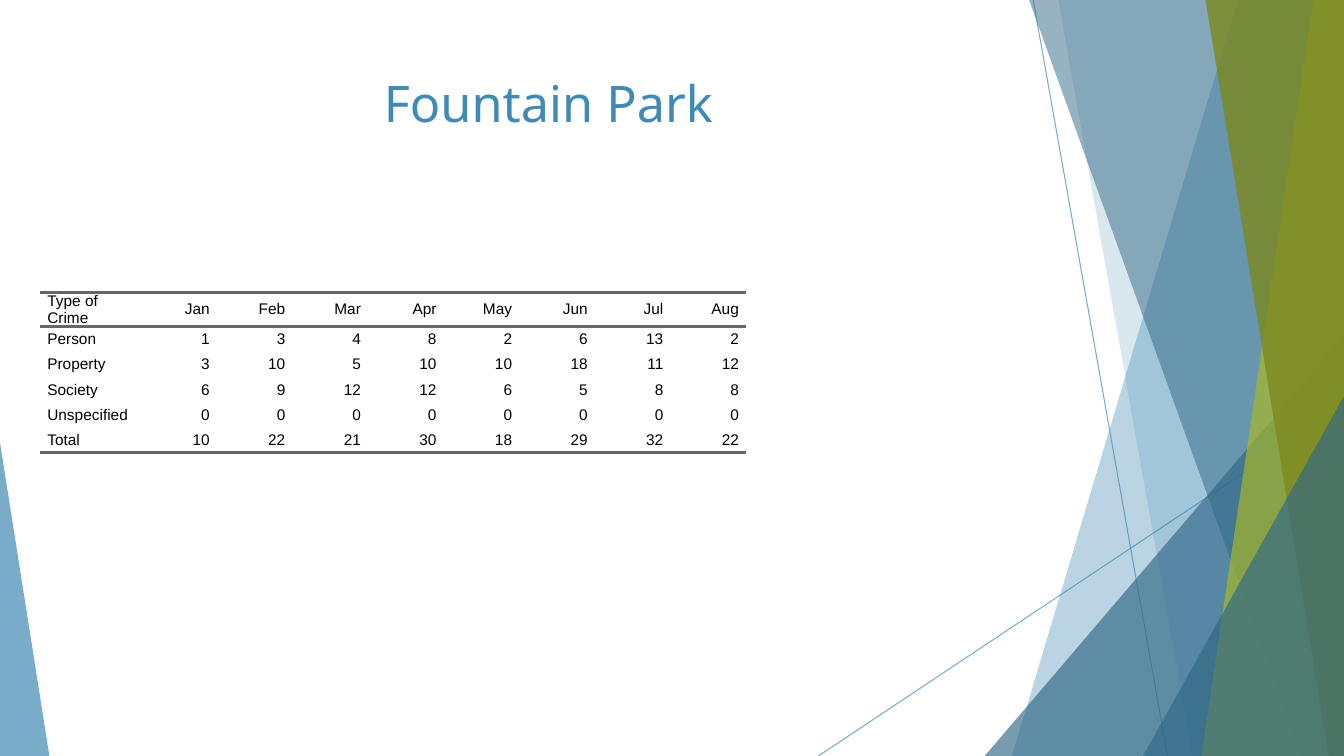
from dataclasses import dataclass

from lxml import etree
from pptx import Presentation
from pptx.dml.color import RGBColor
from pptx.enum.shapes import MSO_CONNECTOR, MSO_SHAPE
from pptx.enum.text import MSO_ANCHOR, PP_ALIGN
from pptx.oxml.ns import qn
from pptx.util import Pt

STRAIGHT = MSO_CONNECTOR.STRAIGHT
TRIANGLE = MSO_SHAPE.ISOSCELES_TRIANGLE
LEFT, CENTER, RIGHT = PP_ALIGN.LEFT, PP_ALIGN.CENTER, PP_ALIGN.RIGHT
TOP, MIDDLE = MSO_ANCHOR.TOP, MSO_ANCHOR.MIDDLE


@dataclass
class Theme:
    blue: str = "418AB3"
    deep_blue: str = "316886"
    lime: str = "A6B727"
    olive: str = "7D891D"
    rule: str = "666666"
    ink: str = "000000"
    title_font: str = "Noto Sans"
    table_font: str = "Arial"
    title_size: int = 36
    table_size: int = 11


theme = Theme()
WIDTH, HEIGHT = 960, 540


def set_alpha(fill_parent, percent):
    """Make the solid colour inside an element translucent."""
    color = next(fill_parent.iter(qn("a:srgbClr")))
    etree.SubElement(color, qn("a:alpha"), val=str(percent * 1000))


def add_run(paragraph, text, font, size, color):
    run = paragraph.add_run()
    run.text = text
    run.font.name = font
    run.font.size = Pt(size)
    run.font.color.rgb = RGBColor.from_string(color)


prs = Presentation()
prs.slide_width, prs.slide_height = Pt(WIDTH), Pt(HEIGHT)
slide = prs.slides.add_slide(prs.slide_layouts[6])
shapes = slide.shapes

# Thin crossing lines
for x1, y1, x2, y2 in [(738, 0, 834, HEIGHT), (WIDTH, 290.2, 584.6, HEIGHT)]:
    ray = shapes.add_connector(STRAIGHT, Pt(x1), Pt(y1), Pt(x2), Pt(y2))
    ray.line.width = Pt(0.75)
    ray.line.color.rgb = RGBColor.from_string(theme.blue)
    set_alpha(ray.line._ln, 70)
    etree.SubElement(ray._element.spPr, qn("a:effectLst"))

# Translucent facets, back to front. Bands reach the right edge: (top x, bottom x).
# Corner triangles stand on the bottom edge: (left, top, width, apex position).
facets = [
    ((884.2, 722.9), theme.blue, 36),
    ((756, 851.8), theme.blue, 20),
    ((703.4, 239.8, 256.6, 1), theme.deep_blue, 66),
    ((735.1, 929.5), theme.deep_blue, 50),
    ((938.2, 858.2), theme.lime, 70),
    ((861.1, 949), theme.olive, 80),
    ((816.5, 283, 143.5, 1), theme.deep_blue, 66),
    ((0, 316.1, 35.3, 0), theme.blue, 70),
]
for geometry, color, opacity in facets:
    if len(geometry) == 2:
        top_x, bottom_x = geometry
        outline = shapes.build_freeform(Pt(top_x), 0)
        outline.add_line_segments([(Pt(WIDTH), 0), (Pt(WIDTH), Pt(HEIGHT)),
                                   (Pt(bottom_x), Pt(HEIGHT))], close=True)
        facet = outline.convert_to_shape()
    else:
        left, top, width, apex = geometry
        facet = shapes.add_shape(TRIANGLE, Pt(left), Pt(top), Pt(width), Pt(HEIGHT - top))
        facet.adjustments[0] = apex
    facet.shadow.inherit = False
    facet.fill.solid()
    facet.fill.fore_color.rgb = RGBColor.from_string(color)
    set_alpha(facet._element.spPr, opacity)
    facet.line.fill.background()

# Crime counts, with the total row summed from the types
months = ["Jan", "Feb", "Mar", "Apr", "May", "Jun", "Jul", "Aug"]
crimes = {
    "Person": [1, 3, 4, 8, 2, 6, 13, 2],
    "Property": [3, 10, 5, 10, 10, 18, 11, 12],
    "Society": [6, 9, 12, 12, 6, 5, 8, 8],
    "Unspecified": [0] * len(months),
}
totals = [sum(counts) for counts in zip(*crimes.values())]
rows = [["Type of Crime", *months],
        *([crime, *counts] for crime, counts in crimes.items()),
        ["Total", *totals]]

# Crime table
TYPE_WIDTH, MONTH_WIDTH, ROW_HEIGHT = 72, 54, 18
crime_frame = shapes.add_table(len(rows), len(rows[0]), Pt(28.8), Pt(208.8),
                               Pt(TYPE_WIDTH + MONTH_WIDTH * len(months)),
                               Pt(ROW_HEIGHT * len(rows)))
crime_table = crime_frame.table
crime_table.first_row = crime_table.horz_banding = False
style_id = next(crime_frame._element.iter(qn("a:tableStyleId")))
style_id.text = "{2D5ABB26-0587-4C30-8999-92F81FD0307C}"  # no style, no grid
for c, column in enumerate(crime_table.columns):
    column.width = Pt(MONTH_WIDTH if c else TYPE_WIDTH)

ruled_edges = {0: ["a:lnT", "a:lnB"], len(rows) - 1: ["a:lnB"]}
for r, values in enumerate(rows):
    crime_table.rows[r].height = Pt(ROW_HEIGHT)
    for c, value in enumerate(values):
        cell = crime_table.cell(r, c)
        cell.margin_left = cell.margin_right = cell.margin_top = cell.margin_bottom = 0
        cell.vertical_anchor = MIDDLE
        for edge in ruled_edges.get(r, []):
            border = etree.SubElement(cell._tc.tcPr, qn(edge), w=str(Pt(2)))
            border_fill = etree.SubElement(border, qn("a:solidFill"))
            etree.SubElement(border_fill, qn("a:srgbClr"), val=theme.rule)
        cell.fill.background()
        entry = cell.text_frame.paragraphs[0]
        entry.alignment = RIGHT if c else LEFT
        entry.space_before = entry.space_after = Pt(5)
        for side in ("marL", "marR"):
            entry._p.get_or_add_pPr().set(side, str(Pt(5)))
        entry._p.pPr.set("indent", "0")
        add_run(entry, str(value), theme.table_font, theme.table_size, theme.ink)

# Title
title = shapes.add_textbox(Pt(53.3), Pt(48.2), Pt(676.8), Pt(103.7)).text_frame
title.word_wrap = True
title.vertical_anchor = TOP
title.paragraphs[0].alignment = CENTER
add_run(title.paragraphs[0], "Fountain Park", theme.title_font, theme.title_size, theme.blue)

prs.save("out.pptx")
